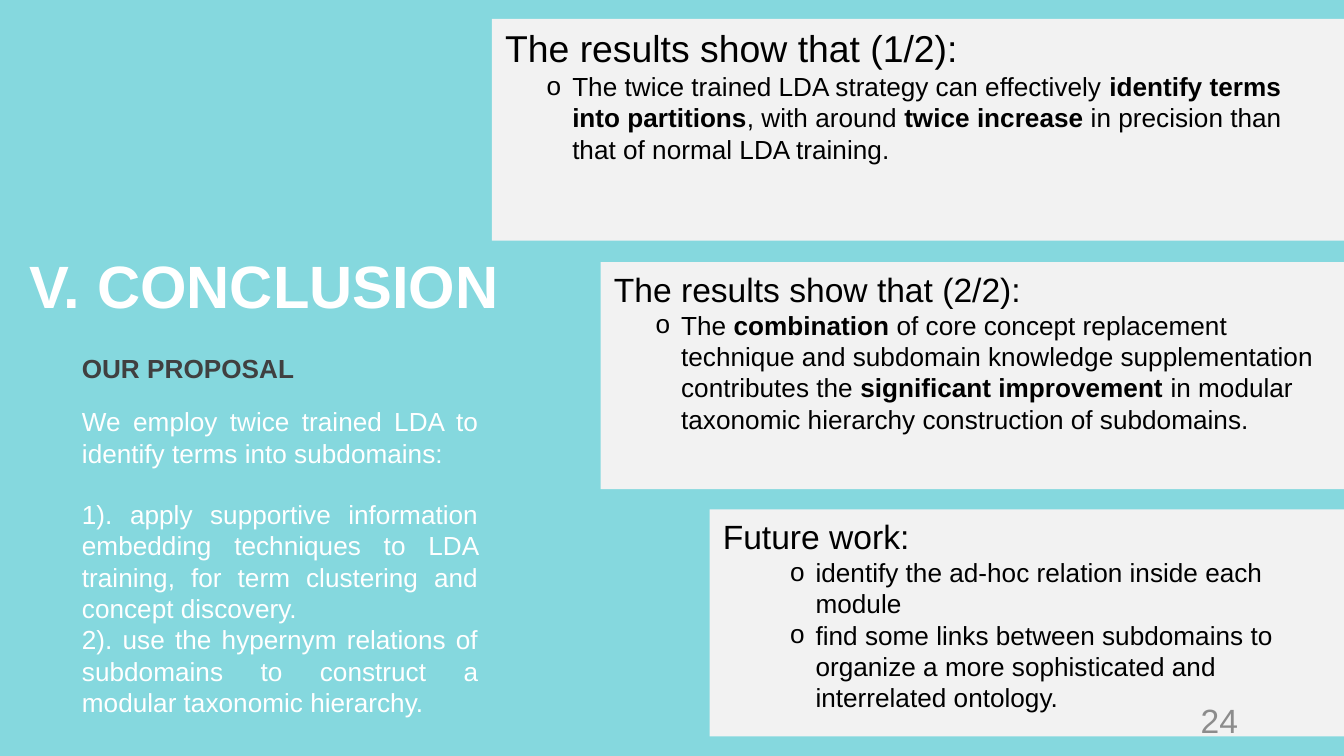
from lxml.etree import SubElement
from pptx import Presentation
from pptx.dml.color import RGBColor
from pptx.enum.shapes import MSO_SHAPE
from pptx.enum.text import MSO_ANCHOR, MSO_AUTO_SIZE, PP_ALIGN
from pptx.oxml.ns import qn
from pptx.util import Inches, Pt

FONT = "Arial"
TEAL, PANEL, WHITE, BLACK = "85D8DE", "F2F2F2", "FFFFFF", "000000"
HEADING, NUMBER = "404040", "8C8C8C"


def color(value):
    return RGBColor.from_string(value)


def place(shape, box):
    shape.left, shape.top, shape.width, shape.height = map(Inches, box)
    return shape


def prepare(frame, anchor):
    frame.word_wrap = True
    frame.auto_size = MSO_AUTO_SIZE.NONE
    frame.vertical_anchor = anchor
    return frame


def write(paragraph, text, size=14, fill=BLACK, bold=False,
          align=PP_ALIGN.LEFT, after=0, indent=0, bullet=None):
    paragraph.alignment = align
    paragraph.space_before = Pt(0)
    paragraph.space_after = Pt(after)
    properties = paragraph._p.get_or_add_pPr()
    properties.set("marL", str(Inches(indent)))
    properties.set("indent", str(Inches(-0.19 if bullet else 0)))
    if bullet:
        SubElement(properties, qn("a:buFont")).set("typeface", FONT)
        SubElement(properties, qn("a:buChar")).set("char", bullet)
    else:
        SubElement(properties, qn("a:buNone"))
    for index, part in enumerate(text.split("**")):
        run = paragraph.add_run()
        run.text = part
        run.font.name = FONT
        run.font.size = Pt(size)
        run.font.bold = bold or index % 2 == 1
        run.font.color.rgb = color(fill)


def add_label(slide, box, text, **style):
    label = place(slide.shapes.add_textbox(0, 0, 0, 0), box)
    frame = prepare(label.text_frame, MSO_ANCHOR.MIDDLE)
    write(frame.paragraphs[0], text, **style)


def add_proposal(slide, box):
    left, top, width, height = box
    title = place(slide.shapes.title, (left, top, width, 0.64))
    frame = prepare(title.text_frame, MSO_ANCHOR.MIDDLE)
    write(frame.paragraphs[0], "V. CONCLUSION", size=32, fill=WHITE, bold=True)

    add_label(slide, (left + 0.39, top + 0.77, 3.31, 0.34), "OUR PROPOSAL",
              fill=HEADING, bold=True)

    body = place(slide.placeholders[1],
                 (left + 0.39, top + 1.15, 3.15, height - 1.15))
    frame = prepare(body.text_frame, MSO_ANCHOR.MIDDLE)
    style = dict(fill=WHITE, align=PP_ALIGN.JUSTIFY)
    write(frame.paragraphs[0],
          "We employ twice trained LDA to identify terms into subdomains:",
          after=16, **style)
    for step in (
        "1). apply supportive information embedding techniques to LDA "
        "training, for term clustering and concept discovery.",
        "2). use the hypernym relations of subdomains to construct a "
        "modular taxonomic hierarchy.",
    ):
        write(frame.add_paragraph(), step, **style)


def add_panel(slide, box, heading, points, size=18, indent=0.5):
    panel = place(slide.shapes.add_shape(MSO_SHAPE.RECTANGLE, 0, 0, 0, 0), box)
    panel.shadow.inherit = False
    panel.fill.solid()
    panel.fill.fore_color.rgb = color(PANEL)
    panel.line.fill.background()
    frame = prepare(panel.text_frame, MSO_ANCHOR.TOP)
    write(frame.paragraphs[0], heading, size=size)
    for point in points:
        write(frame.add_paragraph(), point, indent=indent, bullet="o")


def main():
    deck = Presentation()
    deck.slide_width = Inches(10)
    deck.slide_height = deck.slide_width * 9 // 16
    slide = deck.slides.add_slide(deck.slide_layouts[1])
    slide.background.fill.solid()
    slide.background.fill.fore_color.rgb = color(TEAL)

    add_proposal(slide, (0.12, 1.8, 3.78, 3.61))
    add_panel(slide, (3.66, 0.14, 6.34, 1.65), "The results show that (1/2):", [
        "The twice trained LDA strategy can effectively **identify terms into "
        "partitions**, with around **twice increase** in precision than that "
        "of normal LDA training.",
    ], size=20)
    add_panel(slide, (4.47, 1.95, 5.53, 1.69), "The results show that (2/2):", [
        "The **combination** of core concept replacement technique and "
        "subdomain knowledge supplementation contributes the **significant "
        "improvement **in modular taxonomic hierarchy construction of "
        "subdomains.",
    ])
    add_panel(slide, (5.28, 3.79, 4.72, 1.69), "Future work:", [
        "identify the ad-hoc relation inside each module",
        "find some links between subdomains to organize a more sophisticated "
        "and interrelated ontology.",
    ], indent=0.69)
    add_label(slide, (7.06, 5.21, 2.25, 0.3), "24", size=18, fill=NUMBER,
              align=PP_ALIGN.RIGHT)
    deck.save("out.pptx")


if __name__ == "__main__":
    main()
